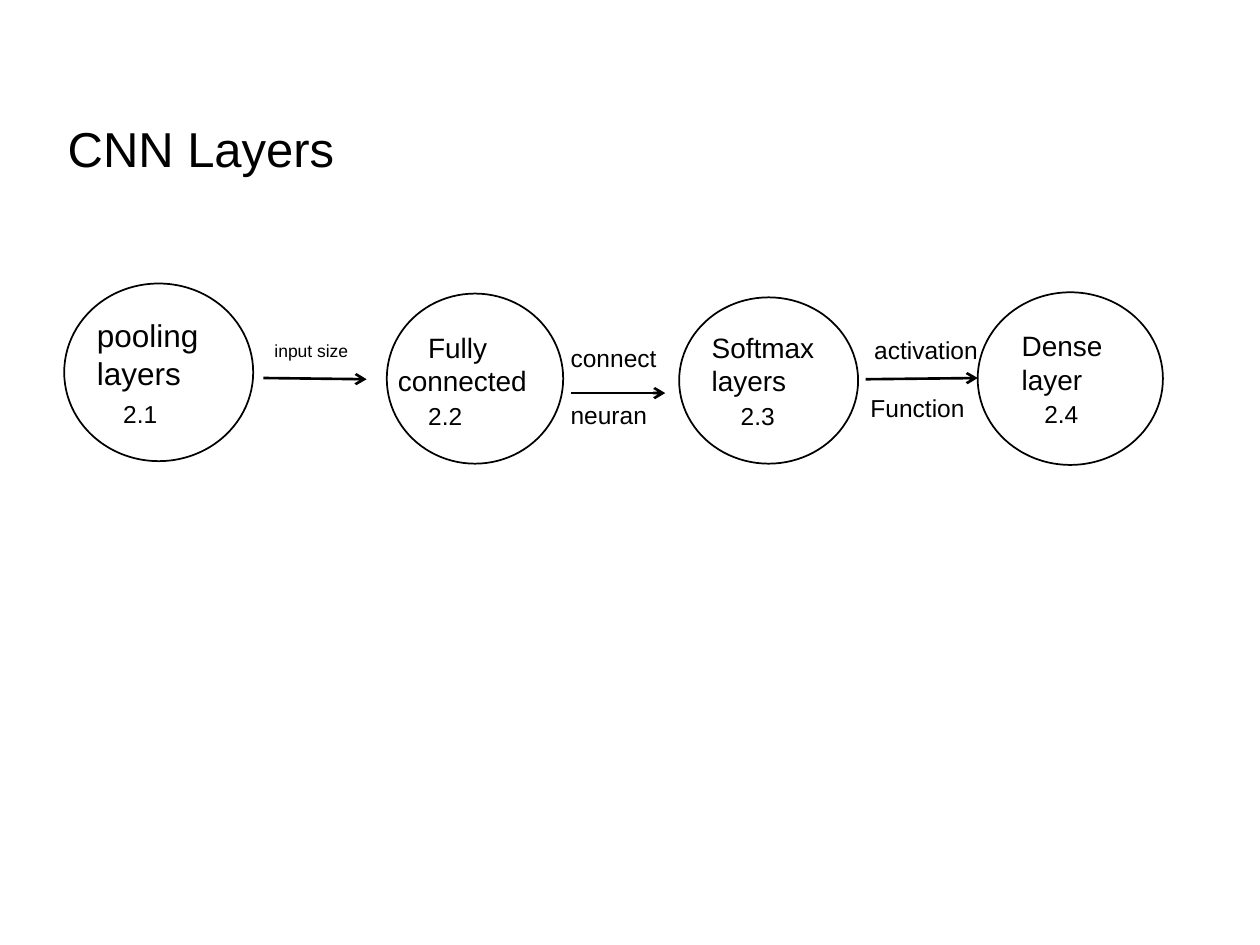
from lxml import etree
from pptx import Presentation
from pptx import util as u
from pptx.dml.color import RGBColor
from pptx.enum import shapes, text
from pptx.oxml.ns import qn

BLACK = RGBColor(0, 0, 0)
WHITE = RGBColor(255, 255, 255)
FONT = "Arial"

# Paragraphs: (wording, size, first-line indent in inches, space before in points)
# Layers: circle box, caption box, caption paragraphs
LAYERS = [
    ((0.51, 2.25, 1.5, 1.41), (0.67, 2.46, 1.13, 1.01),
     [("pooling", 18, 0, 0), ("layers", 18, 0, 0), ("2.1", 14, 0.21, 4)]),
    ((3.07, 2.33, 1.4, 1.35), (3.06, 2.57, 1.27, 0.91),
     [("Fully connected", 16, 0.24, 0), ("2.2", 14, 0.24, 2)]),
    ((5.39, 2.36, 1.42, 1.32), (5.55, 2.57, 1.42, 1.21),
     [("Softmax", 16, 0, 0), ("layers", 16, 0, 0), ("2.3", 14, 0.23, 2)]),
    ((7.76, 2.32, 1.47, 1.37), (8.01, 2.56, 0.88, 0.91),
     [("Dense layer", 16, 0, 0), ("2.4", 14, 0.18, 2)]),
]

# Arrow labels: box, paragraphs
LABELS = [
    ((1.93, 2.65, 1.21, 0.27), [("input size", 10, 0.15, 0)]),
    ((4.43, 2.67, 1.21, 0.81), [("connect", 14, 0, 0), ("neuran", 14, 0, 16)]),
    ((6.84, 2.61, 1.13, 0.34), [("activation", 14, 0, 0)]),
    ((6.81, 3.07, 1.12, 0.34), [("Function", 14, 0, 0)]),
]

# Arrows: from x, from y, to x, to y
ARROWS = [(2.09, 3, 2.91, 3.01), (4.53, 3.12, 5.28, 3.12), (6.87, 3.01, 7.76, 3)]


def inches(box):
    return [u.Inches(value) for value in box]


def style_font(paragraph, size):
    paragraph.font.name = FONT
    paragraph.font.size = u.Pt(size)
    paragraph.font.color.rgb = BLACK


def add_circle(slide, box):
    circle = slide.shapes.add_shape(shapes.MSO_SHAPE.OVAL, *inches(box))
    circle.shadow.inherit = False
    circle.fill.solid()
    circle.fill.fore_color.rgb = WHITE
    circle.line.color.rgb = BLACK
    circle.line.width = u.Pt(1)


def add_text(slide, box, paragraphs):
    frame = slide.shapes.add_textbox(*inches(box)).text_frame
    frame.word_wrap = True
    for index, (wording, size, indent, before) in enumerate(paragraphs):
        paragraph = frame.add_paragraph() if index else frame.paragraphs[0]
        paragraph.text = wording
        paragraph.space_before = u.Pt(before)
        style_font(paragraph, size)
        if indent:
            paragraph._p.get_or_add_pPr().set("indent", str(u.Inches(indent)))


def add_arrow(slide, ends):
    arrow = slide.shapes.add_connector(shapes.MSO_CONNECTOR.STRAIGHT, *inches(ends))
    arrow.line.color.rgb = BLACK
    arrow.line.width = u.Pt(1.5)
    etree.SubElement(arrow.line._get_or_add_ln(), qn("a:tailEnd"), type="arrow")
    etree.SubElement(arrow._element.spPr, qn("a:effectLst"))


def main():
    presentation = Presentation()
    presentation.slide_width, presentation.slide_height = inches((10, 7.5))
    slide = presentation.slides.add_slide(presentation.slide_layouts[5])

    # Title
    title = slide.shapes.title
    title.left, title.top, title.width, title.height = inches((0.43, 0.84, 2.33, 0.67))
    title.text_frame.text = "CNN Layers"
    title.text_frame.vertical_anchor = text.MSO_ANCHOR.MIDDLE
    paragraph = title.text_frame.paragraphs[0]
    paragraph.alignment = text.PP_ALIGN.CENTER
    style_font(paragraph, 28)

    # Layers
    for circle_box, caption_box, caption in LAYERS:
        add_circle(slide, circle_box)
        add_text(slide, caption_box, caption)

    # Arrows and their labels
    for ends in ARROWS:
        add_arrow(slide, ends)
    for box, label in LABELS:
        add_text(slide, box, label)

    presentation.save("out.pptx")


if __name__ == "__main__":
    main()
